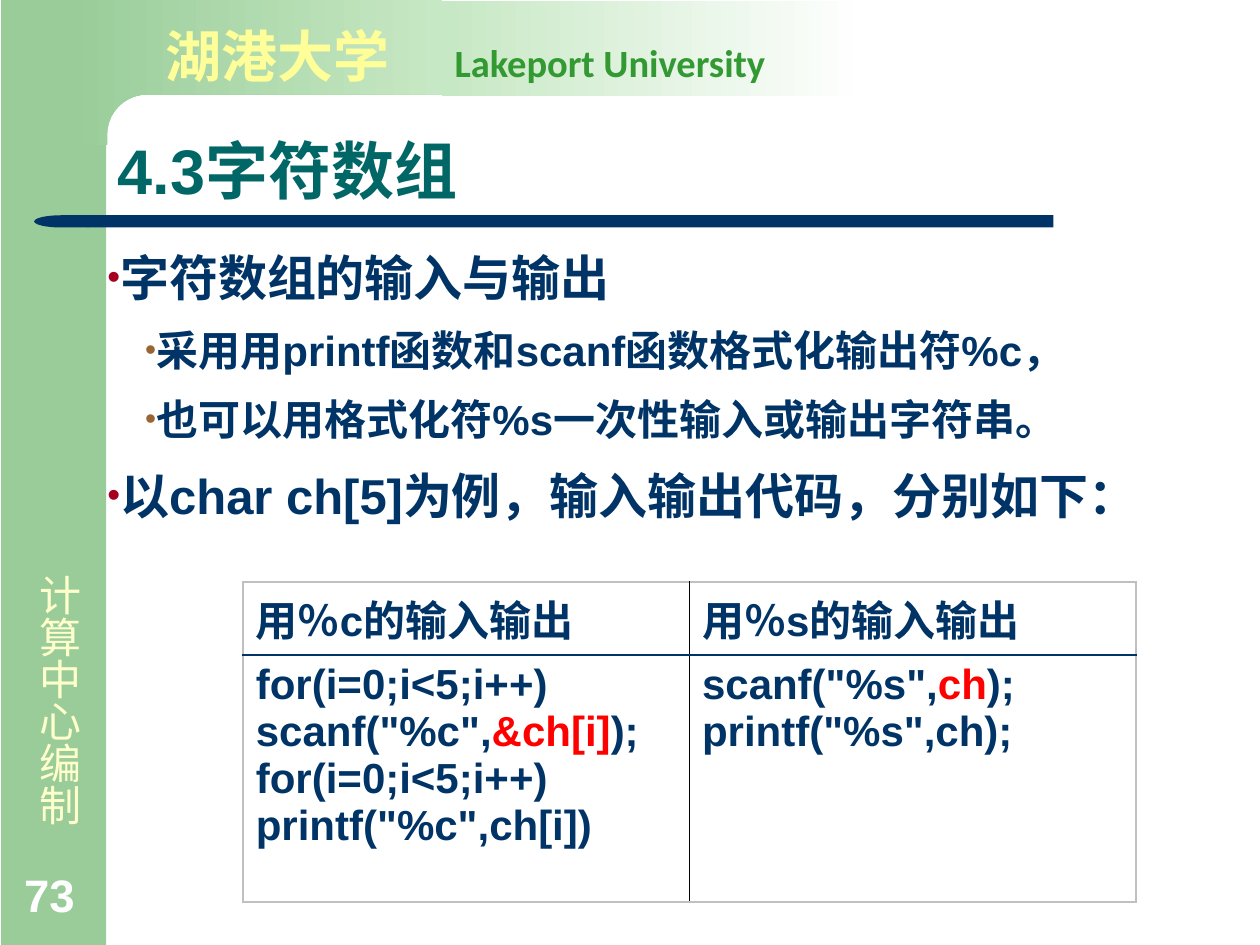
import math

from lxml import etree
from pptx import Presentation
from pptx.dml.color import RGBColor
from pptx.enum.shapes import MSO_SHAPE
from pptx.enum.text import MSO_ANCHOR, MSO_AUTO_SIZE, PP_ALIGN
from pptx.oxml.ns import qn
from pptx.util import Pt

RECTANGLE, DELAY = MSO_SHAPE.RECTANGLE, MSO_SHAPE.FLOWCHART_DELAY
TOP, BOTTOM = MSO_ANCHOR.TOP, MSO_ANCHOR.BOTTOM
LEFT, NO_FIT = PP_ALIGN.LEFT, MSO_AUTO_SIZE.NONE

GREEN = RGBColor(0x99, 0xCC, 0x99)
PALE_GREEN = RGBColor(0xC7, 0xE8, 0xC4)
DARK_GREEN = RGBColor(0x33, 0x99, 0x33)
TEAL = RGBColor(0x00, 0x66, 0x66)
NAVY = RGBColor(0x00, 0x33, 0x66)
CREAM = RGBColor(0xFF, 0xFF, 0xCC)
YELLOW = RGBColor(0xFF, 0xFF, 0x99)
WHITE = RGBColor(0xFF, 0xFF, 0xFF)
RED = RGBColor(0xFF, 0x00, 0x00)
CRIMSON = RGBColor(0xA5, 0x00, 0x21)
BROWN = RGBColor(0x99, 0x66, 0x33)
BLACK = RGBColor(0x00, 0x00, 0x00)
GRAY = RGBColor(0xC0, 0xC0, 0xC0)

# Bullet levels: text size, left margin, hanging indent, bullet colour
LEVELS = [(28, 7.2, 7.2, CRIMSON), (24, 28, 6.5, BROWN)]
BODY = [
    (0, "字符数组的输入与输出"),
    (1, "采用用printf函数和scanf函数格式化输出符%c，"),
    (1, "也可以用格式化符%s一次性输入或输出字符串。"),
    (0, "以char ch[5]为例，输入输出代码，分别如下："),
]

# Each cell is a list of lines, each line a list of (text, colour) parts
LOOP = [("for(i=0;i<5;i++)", NAVY)]
CELLS = [
    [[[("用％c的输入输出", NAVY)]], [[("用％s的输入输出", NAVY)]]],
    [
        [LOOP, [('scanf("%c",', NAVY), ("&ch[i]", RED), (");", NAVY)],
         LOOP, [('printf("%c",ch[i])', NAVY)]],
        [[('scanf("%s",', NAVY), ("ch", RED), (");", NAVY)],
         [('printf("%s",ch);', NAVY)]],
    ],
]


def points(*values):
    return [Pt(value) for value in values]


def apply_format(target, values):
    for name, value in values.items():
        setattr(target, name, value)


def add_run(paragraph, text, size, color, bold=True, font="Arial"):
    run = paragraph.add_run()
    run.text = text
    apply_format(run.font, {"name": font, "size": Pt(size), "bold": bold})
    run.font.color.rgb = color


def add_text_box(slide, box, **frame_format):
    shape = slide.shapes.add_textbox(*points(*box))
    apply_format(shape.text_frame, {"word_wrap": True, **frame_format})
    return shape


def paint(shape, *colors):
    """Fill with one colour, or with two as a left-to-right gradient."""
    shape.shadow.inherit = False
    shape.line.fill.background()
    if len(colors) == 1:
        shape.fill.solid()
        shape.fill.fore_color.rgb = colors[0]
        return
    shape.fill.gradient()
    shape.fill.gradient_angle = 0
    for position, (stop, color) in enumerate(zip(shape.fill.gradient_stops, colors)):
        stop.position = position
        stop.color.rgb = color


def add_sidebar(slide, box):
    left, top, width, height = box
    paint(slide.shapes.add_shape(RECTANGLE, *points(*box)), GREEN)
    label = add_text_box(slide, (left + 8, top + 321, 43, 164))
    label.element.txBody.bodyPr.set("vert", "eaVert")
    add_run(label.text_frame.paragraphs[0], "计算中心编制", 24, CREAM, bold=False)
    number = add_text_box(slide, (left + 6, top + height - 43, width - 14, 33),
                          vertical_anchor=BOTTOM)
    add_run(number.text_frame.paragraphs[0], "73", 26, WHITE)


def add_header(slide, box):
    left, top, width, height = box
    middle = left + 216
    # Banner with a rounded inner corner
    radius, inner_left, foot = 23, left + 24.5, top + 83
    arc = [(inner_left + radius * (1 - math.sin(angle)),
            top + height + radius * (1 - math.cos(angle)))
           for angle in (math.radians(step * 9) for step in range(11))]
    builder = slide.shapes.build_freeform(Pt(middle), Pt(top))
    outline = [(middle, top + height), *arc, (inner_left, foot), (left, foot), (left, top)]
    builder.add_line_segments([points(*corner) for corner in outline])
    paint(builder.convert_to_shape(), GREEN, PALE_GREEN)
    fade = slide.shapes.add_shape(
        RECTANGLE, *points(middle, top + 0.7, left + width - middle, height))
    paint(fade, PALE_GREEN, WHITE)
    # Institution name, its two parts set apart by a tab stop
    name = add_text_box(slide, (left + 51, top + 8.6, 442, 45))
    paragraph = name.text_frame.paragraphs[0]
    add_run(paragraph, "湖港大学\t", 32, YELLOW)
    add_run(paragraph, "Lakeport University", 22, DARK_GREEN, font="Calibri")
    tabs = etree.SubElement(paragraph._p.get_or_add_pPr(), qn("a:tabLst"))
    etree.SubElement(tabs, qn("a:tab"), pos=str(Pt(165)), algn="l")


def add_title(slide, box):
    left, top, width, height = box
    title = slide.shapes.title
    apply_format(title, dict(zip(("left", "top", "width", "height"), points(*box))))
    apply_format(title.text_frame, {"vertical_anchor": BOTTOM, "word_wrap": True,
                                    "auto_size": NO_FIT})
    paragraph = title.text_frame.paragraphs[0]
    apply_format(paragraph, {"alignment": LEFT, "line_spacing": 0.9})
    add_run(paragraph, "4.3字符数组", 36, TEAL)
    # Rule under the title, with a rounded left end
    rule_top, rule_left, cap = top + height + 0.5, left - 10, 31
    paint(slide.shapes.add_shape(RECTANGLE, *points(rule_left, rule_top, 552, 7)), NAVY)
    end = slide.shapes.add_shape(DELAY, *points(rule_left - cap + 0.5, rule_top, cap, 7))
    end.rotation = 180
    paint(end, NAVY)


def add_body(slide, box):
    body = add_text_box(slide, box, margin_left=Pt(1.4), margin_right=Pt(1.4),
                        margin_top=Pt(0.7), margin_bottom=Pt(0.7), vertical_anchor=TOP)
    frame = body.text_frame
    for index, (level, text) in enumerate(BODY):
        size, margin, hanging, color = LEVELS[level]
        paragraph = frame.add_paragraph() if index else frame.paragraphs[0]
        apply_format(paragraph, {"level": level, "line_spacing": 1.2,
                                 "space_before": Pt(size * 0.2)})
        add_run(paragraph, text, size, NAVY)
        properties = paragraph._p.get_or_add_pPr()
        properties.set("marL", str(Pt(margin)))
        properties.set("indent", str(-Pt(hanging)))
        bullet_color = etree.SubElement(properties, qn("a:buClr"))
        etree.SubElement(bullet_color, qn("a:srgbClr"), val=str(color))
        etree.SubElement(properties, qn("a:buSzPct"), val="75000")
        etree.SubElement(properties, qn("a:buFont"), typeface="Arial")
        etree.SubElement(properties, qn("a:buChar"), char="•")


def set_borders(cell, borders):
    properties = cell._tc.get_or_add_tcPr()
    for index, (side, (color, width)) in enumerate(borders.items()):
        line = etree.Element(qn(f"a:ln{side}"), w=str(Pt(width)))
        fill = etree.SubElement(line, qn("a:solidFill"))
        etree.SubElement(fill, qn("a:srgbClr"), val=str(color))
        properties.insert(index, line)


def add_code_table(slide, box, row_heights):
    table = slide.shapes.add_table(len(CELLS), len(CELLS[0]), *points(*box)).table
    apply_format(table, {"first_row": False, "horz_banding": False})
    outer, divider, header_rule = (GRAY, 1.25), (BLACK, 0.75), (NAVY, 1.25)
    for row, (height, cells) in enumerate(zip(row_heights, CELLS)):
        table.rows[row].height = Pt(height)
        for column, lines in enumerate(cells):
            cell = table.cell(row, column)
            cell.fill.background()
            set_borders(cell, {"L": divider if column else outer,
                               "R": outer if column else divider,
                               "T": header_rule if row else outer,
                               "B": outer if row else header_rule})
            for index, parts in enumerate(lines):
                frame = cell.text_frame
                paragraph = frame.add_paragraph() if index else frame.paragraphs[0]
                for text, color in parts:
                    add_run(paragraph, text, 24, color)


def main():
    presentation = Presentation()
    presentation.slide_width, presentation.slide_height = points(720, 540)
    slide = presentation.slides.add_slide(presentation.slide_layouts[5])
    add_sidebar(slide, (0.7, 0, 60, 540))
    add_header(slide, (36.7, 0, 459, 54))
    add_title(slide, (60, 60.5, 624, 62))
    add_body(slide, (60, 134, 652, 215))
    add_code_table(slide, (139, 332.5, 510, 183), (42, 141))
    presentation.save("out.pptx")


if __name__ == "__main__":
    main()
